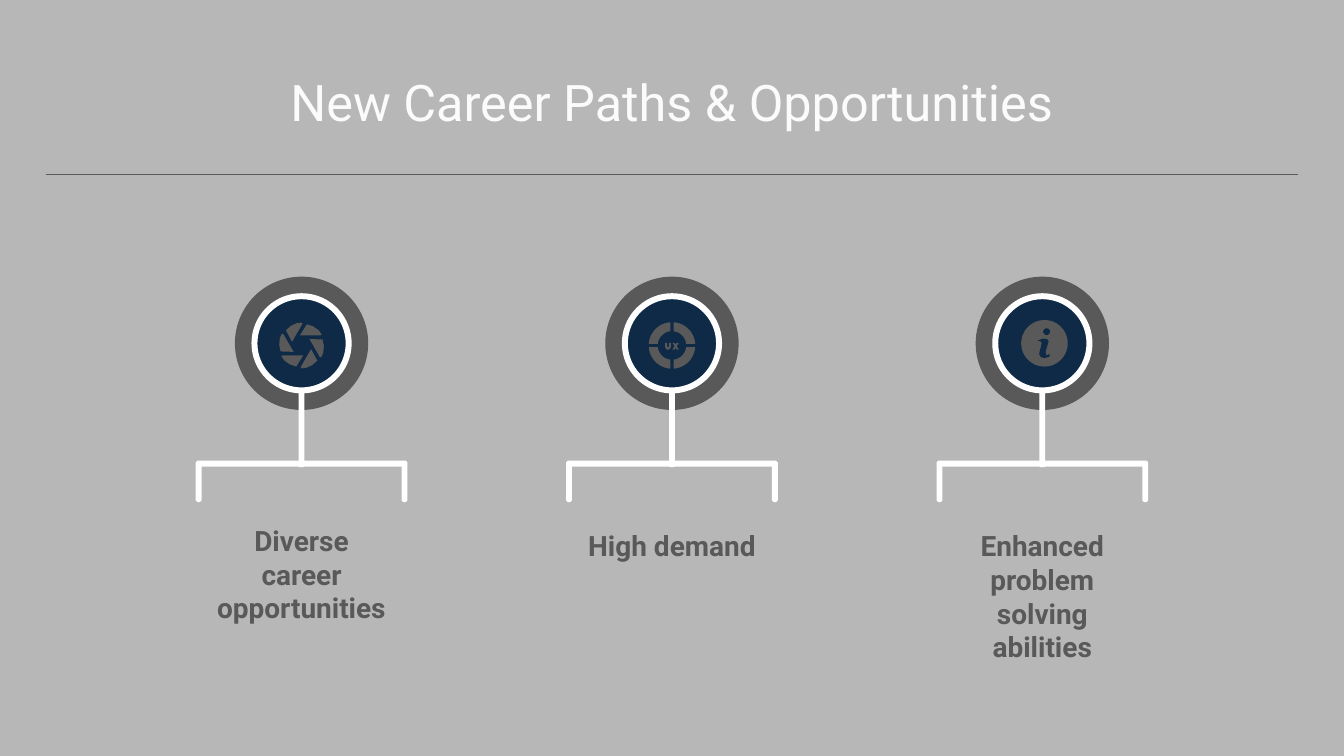
from math import asin, cos, pi, sin

from lxml import etree
from pptx import Presentation
from pptx import util as u
from pptx.dml.color import RGBColor
from pptx.enum import shapes, text
from pptx.oxml.ns import qn

COLORS = {"background": "B7B7B7", "title": "FBFBFB", "gray": "595959",
          "navy": "0E2A47", "white": "FFFFFF"}
FONT = "Roboto"


def color(name):
    """Return a named colour."""
    return RGBColor.from_string(COLORS[name])


def paint(shape, fill):
    """Give a shape a flat fill without line or shadow."""
    shape.shadow.inherit = False
    shape.fill.solid()
    shape.fill.fore_color.rgb = color(fill)
    shape.line.fill.background()
    return shape


def add_circle(slide, x, y, diameter, fill):
    """Add a circle around a centre."""
    return paint(slide.shapes.add_shape(
        shapes.MSO_SHAPE.OVAL, u.Cm(x - diameter / 2), u.Cm(y - diameter / 2),
        u.Cm(diameter), u.Cm(diameter)), fill)


def add_outline(slide, x, y, points, fill):
    """Add a closed outline whose points are relative to a position."""
    places = [(u.Cm(x + dx), u.Cm(y + dy)) for dx, dy in points]
    builder = slide.shapes.build_freeform(*places[0])
    builder.add_line_segments(places[1:], close=True)
    return paint(builder.convert_to_shape(), fill)


def add_label(slide, box, words, size, fill, bold=False,
              anchor=text.MSO_ANCHOR.TOP):
    """Add centred, wrapped text in a box."""
    frame = slide.shapes.add_textbox(*map(u.Cm, box)).text_frame
    frame.word_wrap = True
    frame.vertical_anchor = anchor
    frame.margin_left = frame.margin_right = u.Cm(0.27)
    frame.margin_top = frame.margin_bottom = u.Cm(0.25)
    paragraph = frame.paragraphs[0]
    paragraph.alignment = text.PP_ALIGN.CENTER
    run = paragraph.add_run()
    run.text = words
    run.font.name = FONT
    run.font.size = u.Pt(size)
    run.font.bold = bold
    run.font.color.rgb = color(fill)


def turn(points, angle):
    """Rotate points about the origin."""
    return [(x * cos(angle) - y * sin(angle), x * sin(angle) + y * cos(angle))
            for x, y in points]


def arc(radius, gap):
    """Return points of a quarter arc that keeps a gap from both axes."""
    start = asin(gap / radius)
    step = (pi / 2 - 2 * start) / 12
    return [(radius * cos(start + i * step), radius * sin(start + i * step))
            for i in range(13)]


def add_aperture(slide, x, y):
    """Draw a camera aperture of six blades."""
    blade = [(0.1, -0.4), (-0.03, -0.19), (0.36, -0.19), (0.38, -0.21),
             (0.32, -0.29), (0.22, -0.36)]
    for i in range(6):
        add_outline(slide, x, y + 0.04, turn(blade, i * pi / 3), "gray")


def add_ux_ring(slide, x, y):
    """Draw a ring of four segments around the letters U and X."""
    segment = arc(0.44, 0.03) + arc(0.27, 0.03)[::-1]
    for i in range(4):
        add_outline(slide, x, y + 0.04, turn(segment, i * pi / 2), "gray")
    letter_u = [(-0.13, -0.05), (-0.09, -0.05), (-0.09, 0.02), (-0.07, 0.04),
                (-0.05, 0.02), (-0.05, -0.05), (-0.02, -0.05), (-0.02, 0.03),
                (-0.05, 0.08), (-0.1, 0.08), (-0.13, 0.03)]
    letter_x = [(0.01, -0.05), (0.05, -0.05), (0.07, -0.02), (0.09, -0.05),
                (0.13, -0.05), (0.09, 0.01), (0.13, 0.08), (0.09, 0.08),
                (0.07, 0.04), (0.05, 0.08), (0.01, 0.08), (0.05, 0.01)]
    for letter in (letter_u, letter_x):
        add_outline(slide, x, y + 0.04, letter, "gray")


def add_info(slide, x, y):
    """Draw an information sign."""
    x += 0.04
    stem = [(-0.13, -0.05), (-0.03, -0.09), (0.05, -0.08), (0.08, -0.04),
            (0.02, 0.17), (0.04, 0.23), (0.1, 0.2), (0.1, 0.25), (0, 0.28),
            (-0.07, 0.26), (-0.1, 0.2), (-0.05, -0.01), (-0.08, -0.04)]
    add_circle(slide, x, y, 0.88, "gray")
    add_circle(slide, x + 0.04, y - 0.22, 0.13, "navy")
    add_outline(slide, x, y, stem, "navy")


def add_header(slide, box):
    """Place the title and the rule below it."""
    left, top, width, height = box
    add_label(slide, (left, top, width, 1.9),
              "New Career Paths & Opportunities", 27, "title",
              anchor=text.MSO_ANCHOR.BOTTOM)
    rule = slide.shapes.add_connector(
        shapes.MSO_CONNECTOR.STRAIGHT, u.Cm(left), u.Cm(top + height),
        u.Cm(left + width), u.Cm(top + height))
    rule.line.color.rgb = color("gray")
    rule.line.width = u.Pt(0.75)
    properties = rule._element.spPr
    etree.SubElement(properties, qn("a:effectLst"))


def add_column(slide, box, words, label_top, draw_icon):
    """Place a badge with its icon, stem, bracket and label."""
    left, top, width, height = box
    x, y = left + width / 2, top + 1.26
    half, stroke, corner = width / 2, 0.11, 0.03
    add_circle(slide, x, y, 2.52, "gray")
    paint(slide.shapes.add_shape(
        shapes.MSO_SHAPE.ROUNDED_RECTANGLE, u.Cm(x - stroke / 2),
        u.Cm(y - 0.2), u.Cm(stroke), u.Cm(2.54)), "white")
    badge = add_circle(slide, x, y, 1.78, "navy")
    badge.line.color.rgb = color("white")
    badge.line.width = u.Pt(3.2)
    right_side = [(half - corner, 0), (half, corner), (half, 0.75),
                  (half - corner, 0.78), (half - stroke + corner, 0.78),
                  (half - stroke, 0.75), (half - stroke, stroke)]
    left_side = [(-dx, dy) for dx, dy in reversed(right_side)]
    add_outline(slide, x, top + 3.48, right_side + left_side, "white")
    draw_icon(slide, x, y)
    add_label(slide, (x - 1.93, top + label_top, 3.86, height - label_top),
              words, 15, "gray", bold=True)


def main():
    """Build the slide."""
    presentation = Presentation()
    presentation.slide_width = u.Cm(25.4)
    presentation.slide_height = u.Cm(14.29)
    slide = presentation.slides.add_slide(presentation.slide_layouts[6])
    slide.background.fill.solid()
    slide.background.fill.fore_color.rgb = color("background")
    add_header(slide, (0.86, 0.84, 23.67, 2.46))
    columns = [("Diverse career opportunities", 4.42, 6.93, add_aperture),
               ("High demand", 4.52, 6.6, add_ux_ring),
               ("Enhanced problem solving abilities", 4.52, 7.87, add_info)]
    for i, (words, label_top, height, draw_icon) in enumerate(columns):
        box = (3.7 + i * 7, 5.23, 4, height)
        add_column(slide, box, words, label_top, draw_icon)
    presentation.save("out.pptx")


if __name__ == "__main__":
    main()
